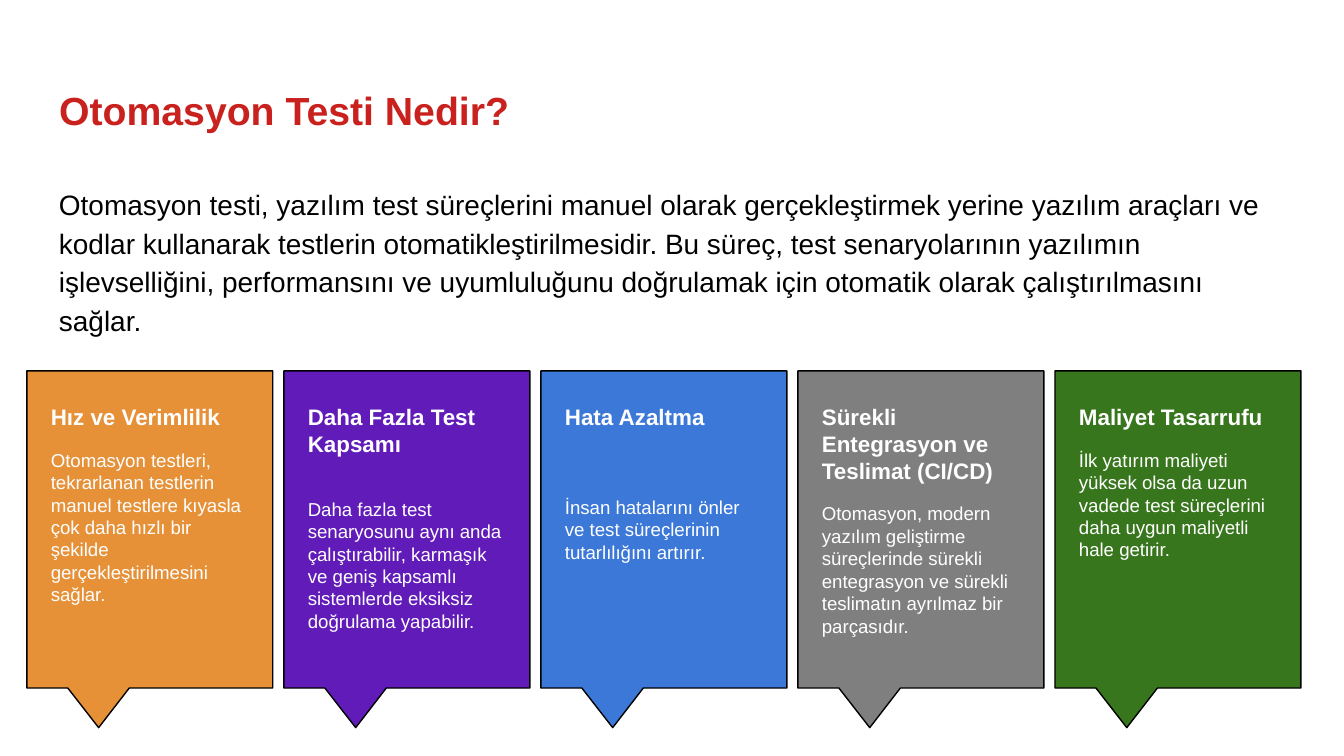
"""Build a slide that defines test automation and shows its five benefits."""
import pptx
import pptx.dml.color
import pptx.enum.shapes
import pptx.enum.text
import pptx.util

SLIDE_WIDTH = 10
SLIDE_HEIGHT = SLIDE_WIDTH * 9 / 16
TITLE = "Otomasyon Testi Nedir?"
DEFINITION = (
    "Otomasyon testi, yazılım test süreçlerini manuel olarak gerçekleştirmek yerine "
    "yazılım araçları ve kodlar kullanarak testlerin otomatikleştirilmesidir. Bu süreç, "
    "test senaryolarının yazılımın işlevselliğini, performansını ve uyumluluğunu "
    "doğrulamak için otomatik olarak çalıştırılmasını sağlar."
)
BEFORE, AFTER = 11.9, 9.9
BENEFITS = [
    {"heading": "Hız ve Verimlilik", "fill": "E69138", "gap": 0, "height": 1.71,
     "detail": "Otomasyon testleri, tekrarlanan testlerin manuel testlere kıyasla "
               "çok daha hızlı bir şekilde gerçekleştirilmesini sağlar."},
    {"heading": "Daha Fazla Test Kapsamı", "fill": "611BB8", "gap": BEFORE, "height": 1.9,
     "detail": "Daha fazla test senaryosunu aynı anda çalıştırabilir, karmaşık ve geniş "
               "kapsamlı sistemlerde eksiksiz doğrulama yapabilir."},
    {"heading": "Hata Azaltma", "fill": "3C78D8", "gap": 25.2, "height": 1.39,
     "detail": "İnsan hatalarını önler ve test süreçlerinin tutarlılığını artırır."},
    {"heading": "Sürekli Entegrasyon ve Teslimat (CI/CD)", "fill": "7F7F7F", "gap": 0,
     "height": 1.94,
     "detail": "Otomasyon, modern yazılım geliştirme süreçlerinde sürekli entegrasyon "
               "ve sürekli teslimatın ayrılmaz bir parçasıdır."},
    {"heading": "Maliyet Tasarrufu", "fill": "38761D", "gap": 0, "height": 1.37,
     "detail": "İlk yatırım maliyeti yüksek olsa da uzun vadede test süreçlerini daha "
               "uygun maliyetli hale getirir."},
]
MARGIN = 0.34
CARD_TOP, CARD_WIDTH, CARD_HEIGHT = 2.76, 1.83, 2.36
FIRST_LEFT, LAST_LEFT = 0.2, 7.85
PITCH = (LAST_LEFT - FIRST_LEFT) / (len(BENEFITS) - 1)
TEXT_INSET, TEXT_WIDTH, TEXT_TOP = 0.08, 1.66, 2.9
POINTER = (-0.208, 0.625)


def color(value):
    return pptx.dml.color.RGBColor.from_string(value)


def inches(*values):
    return [pptx.util.Inches(value) for value in values]


def prepare(box, auto_size=pptx.enum.text.MSO_AUTO_SIZE.NONE):
    frame = box.text_frame
    frame.word_wrap = True
    frame.auto_size = auto_size
    frame.vertical_anchor = pptx.enum.text.MSO_ANCHOR.TOP
    frame.margin_left, frame.margin_top, frame.margin_right, frame.margin_bottom = inches(
        0.1, 0.1, 0.1, 0.1)
    return frame


def write(para, text, size, ink, bold=False, before=BEFORE, after=AFTER, spacing=1.0):
    para.alignment = pptx.enum.text.PP_ALIGN.LEFT
    para.space_before = pptx.util.Pt(before)
    para.space_after = pptx.util.Pt(after)
    para.line_spacing = spacing
    span = para.add_run()
    span.text = text
    span.font.name = "Arial"
    span.font.size = pptx.util.Pt(size)
    span.font.bold = bold
    span.font.color.rgb = color(ink)


def add_card(page, left, benefit):
    callout = page.shapes.add_shape(
        pptx.enum.shapes.MSO_SHAPE.RECTANGULAR_CALLOUT,
        *inches(left, CARD_TOP, CARD_WIDTH, CARD_HEIGHT))
    callout.adjustments[0], callout.adjustments[1] = POINTER
    callout.shadow.inherit = False
    callout.fill.solid()
    callout.fill.fore_color.rgb = color(benefit["fill"])
    callout.line.color.rgb = color("000000")
    callout.line.width = pptx.util.Pt(0.75)

    box = page.shapes.add_textbox(
        *inches(left + TEXT_INSET, TEXT_TOP, TEXT_WIDTH, benefit["height"]))
    frame = prepare(box, pptx.enum.text.MSO_AUTO_SIZE.SHAPE_TO_FIT_TEXT)
    write(frame.paragraphs[0], benefit["heading"], 12, "FFFFFF", bold=True)
    write(frame.add_paragraph(), benefit["detail"], 10, "FFFFFF",
          before=benefit["gap"], after=AFTER if benefit["gap"] else 0)


def main():
    deck = pptx.Presentation()
    deck.slide_width, deck.slide_height = inches(SLIDE_WIDTH, SLIDE_HEIGHT)
    page = deck.slides.add_slide(deck.slide_layouts.get_by_name("Title Only"))
    width = SLIDE_WIDTH - 2 * MARGIN

    title = page.shapes.title
    title.left, title.top, title.width, title.height = inches(MARGIN, 0.49, width, 0.68)
    write(prepare(title).paragraphs[0], TITLE, 21, "C9211E", bold=True, spacing=1.15)

    definition = page.shapes.add_textbox(*inches(MARGIN, 1.26, width, 3.73))
    write(prepare(definition).paragraphs[0], DEFINITION, 15, "000000", spacing=1.15)

    for column, benefit in enumerate(BENEFITS):
        add_card(page, FIRST_LEFT + column * PITCH, benefit)
    deck.save("out.pptx")


if __name__ == "__main__":
    main()
